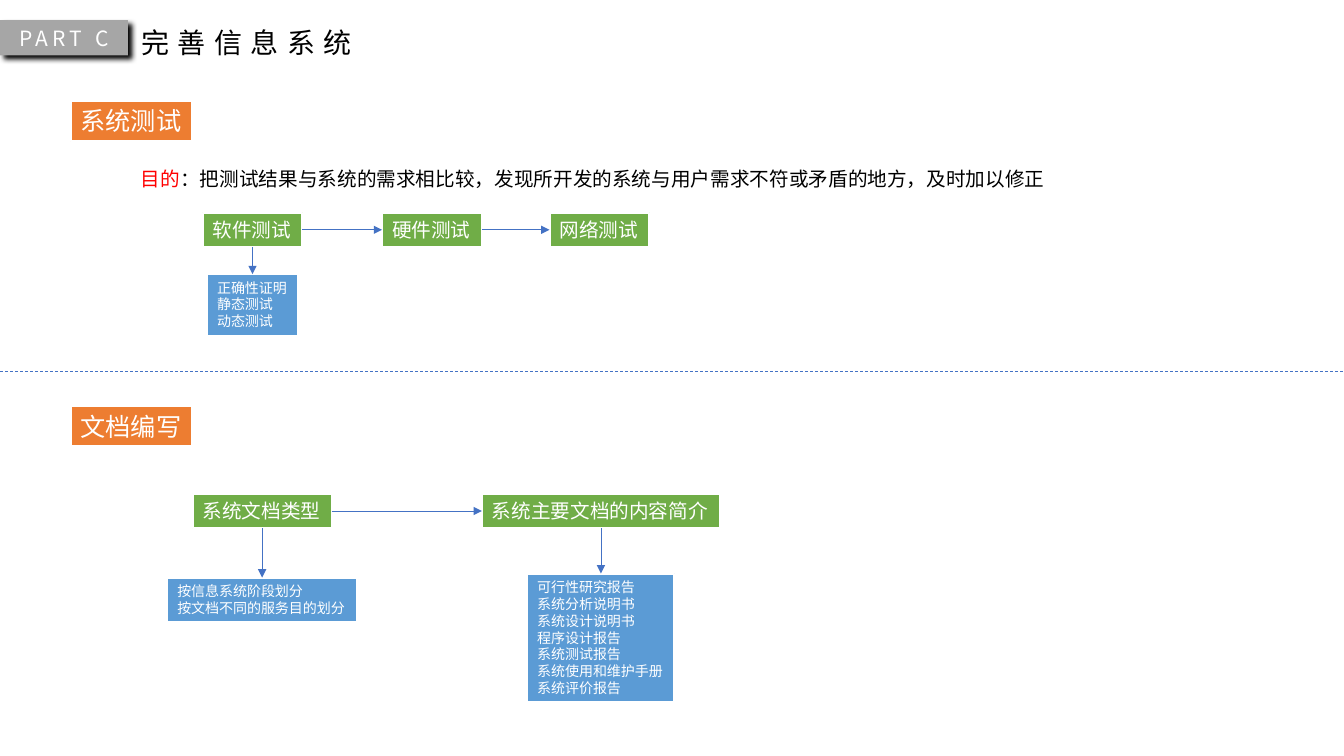
import lxml.etree
import pptx
import pptx.dml.color
import pptx.enum.dml
import pptx.enum.shapes
import pptx.enum.text
import pptx.oxml.ns
import pptx.util
from pptx.util import Inches

RGBColor = pptx.dml.color.RGBColor
BLACK = RGBColor(0x00, 0x00, 0x00)
WHITE = RGBColor(0xFF, 0xFF, 0xFF)
RED = RGBColor(0xFF, 0x00, 0x00)
GREY = RGBColor(0xA6, 0xA6, 0xA6)
ORANGE = RGBColor(0xED, 0x7D, 0x31)
GREEN = RGBColor(0x70, 0xAD, 0x47)
BLUE = RGBColor(0x5B, 0x9B, 0xD5)
LINE_BLUE = RGBColor(0x44, 0x72, 0xC4)
FONT = "Noto Sans CJK SC"
ALIGN = pptx.enum.text.PP_ALIGN
TOP, LEFT, BOTTOM, RIGHT = range(4)
SLIDE_W, SLIDE_H = 13.33, 7.5


def add_child(parent, tag, **attrs):
    child = lxml.etree.SubElement(parent, pptx.oxml.ns.qn(tag))
    for name, value in attrs.items():
        child.set(name, str(value))
    return child


def add_run(p, text, size=14, color=WHITE, spacing=0):
    r = p.add_run()
    r.text = text
    r.font.size = pptx.util.Pt(size)
    r.font.name = FONT
    r.font.color.rgb = color
    rPr = r.font._element
    add_child(rPr, "a:ea", typeface=FONT)
    if spacing:
        rPr.set("spc", str(spacing * 100))


def write_text(sp, text, align=ALIGN.LEFT, wrap=False, **run_format):
    """Fill a shape with one paragraph for each line of text."""
    tf = sp.text_frame
    tf.word_wrap = wrap
    tf.auto_size = pptx.enum.text.MSO_AUTO_SIZE.NONE
    tf.vertical_anchor = pptx.enum.text.MSO_ANCHOR.TOP
    for i, line in enumerate(text.split("\n")):
        p = tf.add_paragraph() if i else tf.paragraphs[0]
        p.alignment = align
        add_run(p, line, **run_format)


def add_box(slide, box, text, fill, outlined=True, **text_format):
    sp = slide.shapes.add_shape(pptx.enum.shapes.MSO_SHAPE.RECTANGLE, *map(Inches, box))
    sp.shadow.inherit = False
    sp.fill.solid()
    sp.fill.fore_color.rgb = fill
    if outlined:
        sp.line.color.rgb = WHITE
        sp.line.width = pptx.util.Pt(1.5)
    else:
        sp.line.fill.background()
    write_text(sp, text, **text_format)
    return sp


def add_line(slide, x1, y1, x2, y2):
    line = slide.shapes.add_connector(
        pptx.enum.shapes.MSO_CONNECTOR.STRAIGHT, *map(Inches, (x1, y1, x2, y2)))
    line.line.color.rgb = LINE_BLUE
    line.line.width = pptx.util.Pt(0.5)
    add_child(line._element.spPr, "a:effectLst")
    return line


def add_arrow(slide, start, start_side, end, end_side):
    arrow = add_line(slide, 0, 0, 0, 0)
    arrow.begin_connect(start, start_side)
    arrow.end_connect(end, end_side)
    add_child(arrow.line._get_or_add_ln(), "a:tailEnd", type="triangle")


def add_header(slide, x, y):
    tag = add_box(slide, (x, y, 1.27, 0.35), "PART C", GREY, outlined=False,
                  align=ALIGN.CENTER, wrap=True, size=15, spacing=3)
    effects = tag._element.spPr.find(pptx.oxml.ns.qn("a:effectLst"))
    shadow = add_child(effects, "a:outerShdw", blurRad=pptx.util.Pt(4), dist=pptx.util.Pt(4),
                       dir=40 * 60000, algn="tl", rotWithShape=0)
    color = add_child(shadow, "a:srgbClr", val=BLACK)
    add_child(color, "a:alpha", val=99000)

    title = slide.shapes.title
    title.left, title.top = Inches(x + 1.3), Inches(y)
    title.width, title.height = Inches(2.39), Inches(0.44)
    write_text(title, "完善信息系统", size=20, color=BLACK, spacing=6)


def add_section_label(slide, x, y, text):
    add_box(slide, (x, y, 1.21, 0.4), text, ORANGE, size=18)


def add_flow(slide, y, steps):
    """Draw a row of linked steps (x, width, text, detail box and text or None)."""
    previous = None
    for x, width, text, detail in steps:
        step = add_box(slide, (x, y, width, 0.34), text, GREEN)
        if previous is not None:
            add_arrow(slide, previous, RIGHT, step, LEFT)
        if detail:
            gap, detail_w, detail_h, detail_text = detail
            box = (x + (width - detail_w) / 2, y + 0.34 + gap, detail_w, detail_h)
            note = add_box(slide, box, detail_text, BLUE, size=10)
            add_arrow(slide, step, BOTTOM, note, TOP)
        previous = step


def add_testing(slide, x, y):
    add_section_label(slide, x, y, "系统测试")
    goal = slide.shapes.add_textbox(*map(Inches, (x + 0.6, y + 0.61, 9.23, 0.34)))
    write_text(goal, "目的", color=RED)
    add_run(goal.text_frame.paragraphs[0],
            "：把测试结果与系统的需求相比较，发现所开发的系统与用户需求不符或矛盾的地方，及时加以修正",
            color=BLACK)
    add_flow(slide, y + 1.11, [
        (x + 1.31, 0.99, "软件测试", (0.27, 0.9, 0.61, "正确性证明\n静态测试\n动态测试")),
        (x + 3.09, 0.99, "硬件测试", None),
        (x + 4.75, 0.99, "网络测试", None),
    ])


def add_documents(slide, x, y):
    add_section_label(slide, x, y, "文档编写")
    reports = ("可行性研究报告\n系统分析说明书\n系统设计说明书\n程序设计报告\n"
               "系统测试报告\n系统使用和维护手册\n系统评价报告")
    add_flow(slide, y + 0.87, [
        (x + 1.21, 1.38, "系统文档类型",
         (0.49, 1.88, 0.44, "按信息系统阶段划分\n按文档不同的服务目的划分")),
        (x + 4.08, 2.36, "系统主要文档的内容简介", (0.45, 1.46, 1.28, reports)),
    ])


def main():
    prs = pptx.Presentation()
    prs.slide_width, prs.slide_height = Inches(SLIDE_W), Inches(SLIDE_H)
    slide = prs.slides.add_slide(prs.slide_layouts[5])
    add_header(slide, 0, 0.2)
    add_testing(slide, 0.7, 1)
    divider = add_line(slide, 0, 3.68, SLIDE_W, 3.68)
    divider.line.dash_style = pptx.enum.dml.MSO_LINE.DASH
    add_documents(slide, 0.7, 4.03)
    prs.save("out.pptx")


if __name__ == "__main__":
    main()
